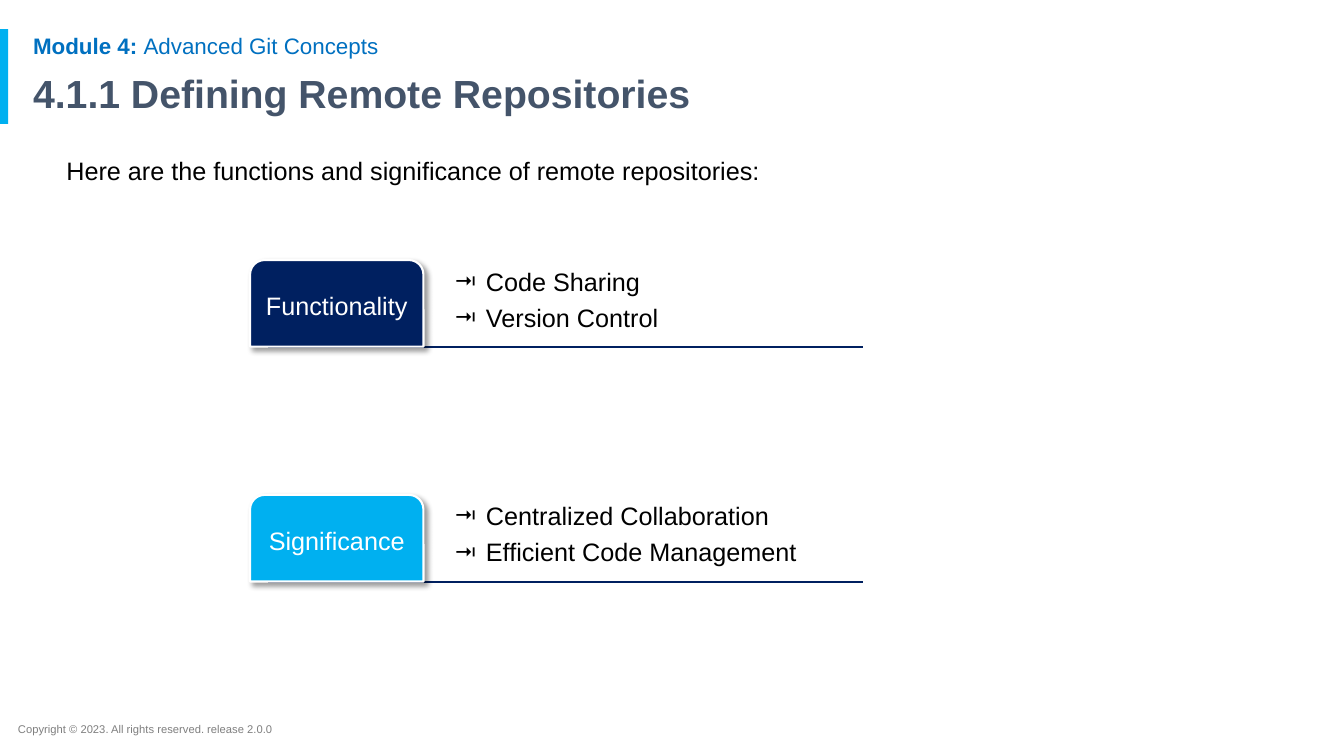
from lxml.etree import SubElement
from pptx import Presentation
from pptx.dml.color import RGBColor
from pptx.enum.shapes import MSO_CONNECTOR as Connector, MSO_SHAPE as Shape
from pptx.enum.text import MSO_ANCHOR as Anchor, PP_ALIGN as Align
from pptx.oxml.ns import qn
from pptx.util import Inches, Pt

FONT = "Arial"
NAVY, SKY, WHITE, BLACK = "002060", "00B0F0", "FFFFFF", "000000"
WIDTH, HEIGHT = 13.33, 7.5
MARGIN = 0.23
TAB_LEFT, TAB_TOP, TAB_WIDTH, TAB_HEIGHT = 2.48, 2.58, 1.72, 0.86
ROW_STEP = 2.33
RULE_LEFT, RULE_RIGHT = 2.66, 8.56
LIST_LEFT, LIST_WIDTH, LIST_GAP = 4.47, 4.37, 0.1
BULLET_INDENT = 0.31

HEADINGS = [
    ((MARGIN, 0.3, 11.5, 0.33), 16, "0070C0", 0.9,
     [("Module 4: ", True), ("Advanced Git Concepts", False)]),
    ((MARGIN, 0.69, 11.5, 0.54), 28, "44546A", 0.9,
     [("4.1.1 Defining Remote Repositories", True)]),
    ((0.56, 1.43, 11.24, 5.29), 18, BLACK, 1.2,
     [("Here are the functions and significance of remote repositories:", False)]),
    ((0.08, 7.12, 7.13, 0.24), 8, "7F7F7F", 1.0,
     [("Copyright © 2023. All rights reserved. release 2.0.0", False)]),
]
GROUPS = [
    ("Functionality", NAVY, ["Code Sharing", "Version Control"]),
    ("Significance", SKY, ["Centralized Collaboration", "Efficient Code Management"]),
]


def color(value):
    return RGBColor.from_string(value)


def inches(*lengths):
    return [Inches(length) for length in lengths]


def set_frame(shape, insets, anchor):
    frame = shape.text_frame
    frame.word_wrap = True
    frame.vertical_anchor = anchor
    (frame.margin_left, frame.margin_top,
     frame.margin_right, frame.margin_bottom) = inches(*insets)
    return frame


def add_span(para, text, size, ink, bold=False):
    span = para.add_run()
    span.text = text
    span.font.name = FONT
    span.font.size = Pt(size)
    span.font.bold = bold
    span.font.color.rgb = color(ink)


def add_heading(page, place, size, ink, spacing, spans):
    box = page.shapes.add_textbox(*inches(*place))
    para = set_frame(box, (0.1, 0.05, 0.1, 0.05), Anchor.TOP).paragraphs[0]
    para.line_spacing = spacing
    for text, bold in spans:
        add_span(para, text, size, ink, bold)


def add_bullet(para):
    props = para._p.get_or_add_pPr()
    props.set("marL", str(Inches(BULLET_INDENT)))
    props.set("indent", str(-Inches(BULLET_INDENT)))
    ink = SubElement(props, qn("a:buClr"))
    SubElement(ink, qn("a:srgbClr"), val=BLACK)
    SubElement(props, qn("a:buFont"), typeface=FONT)
    SubElement(props, qn("a:buChar"), char="⭲")


def add_shadow(shape):
    effects = shape._element.spPr.find(qn("a:effectLst"))
    shadow = SubElement(effects, qn("a:outerShdw"), blurRad=str(Pt(4)),
                        dist=str(Pt(3)), dir=str(45 * 60000), rotWithShape="0")
    ink = SubElement(shadow, qn("a:srgbClr"), val=BLACK)
    SubElement(ink, qn("a:alpha"), val="40000")


def add_rule(page, y):
    rule = page.shapes.add_connector(
        Connector.STRAIGHT, *inches(RULE_LEFT, y, RULE_RIGHT, y))
    rule.line.color.rgb = color(NAVY)
    rule.line.width = Pt(1.5)
    SubElement(rule._element.spPr, qn("a:effectLst"))


def add_tab(page, top, label, fill):
    tab = page.shapes.add_shape(
        Shape.ROUND_2_SAME_RECTANGLE, *inches(TAB_LEFT, top, TAB_WIDTH, TAB_HEIGHT))
    tab.shadow.inherit = False
    tab.fill.solid()
    tab.fill.fore_color.rgb = color(fill)
    tab.line.color.rgb = color(WHITE)
    tab.line.width = Pt(1.5)
    add_shadow(tab)
    para = set_frame(tab, (0.08, 0.08, 0.08, 0.04), Anchor.MIDDLE).paragraphs[0]
    para.alignment = Align.CENTER
    para.line_spacing = 0.9
    add_span(para, label, 18, WHITE)


def add_list(page, top, items):
    box = page.shapes.add_textbox(*inches(LIST_LEFT, top, LIST_WIDTH, TAB_HEIGHT))
    frame = set_frame(box, (0.04,) * 4, Anchor.BOTTOM)
    for index, item in enumerate(items):
        para = frame.add_paragraph() if index else frame.paragraphs[0]
        add_bullet(para)
        para.line_spacing = 0.9
        if index:
            para.space_before = Pt(6.3)
        add_span(para, item, 18, BLACK)


def main():
    """Build the slide on remote repositories and save it."""
    deck = Presentation()
    deck.slide_width, deck.slide_height = inches(WIDTH, HEIGHT)
    page = deck.slides.add_slide(deck.slide_layouts[6])

    accent = page.shapes.add_shape(Shape.RECTANGLE, *inches(0, 0.29, 0.08, 0.94))
    accent.shadow.inherit = False
    accent.fill.solid()
    accent.fill.fore_color.rgb = color(SKY)
    accent.line.fill.background()

    for heading in HEADINGS:
        add_heading(page, *heading)
    for row, (label, fill, items) in enumerate(GROUPS):
        top = TAB_TOP + row * ROW_STEP
        add_rule(page, top + TAB_HEIGHT)
        add_list(page, top - LIST_GAP, items)
        add_tab(page, top, label, fill)
    deck.save("out.pptx")


if __name__ == "__main__":
    main()
